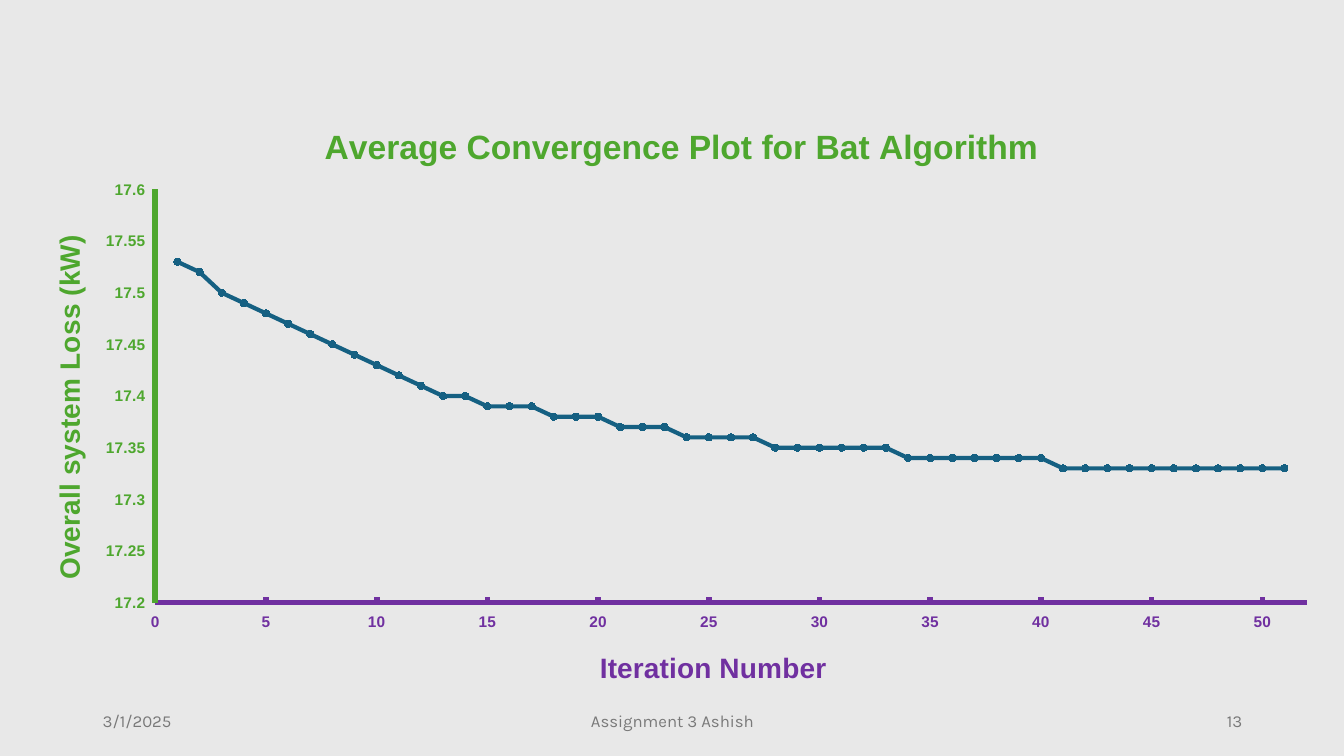
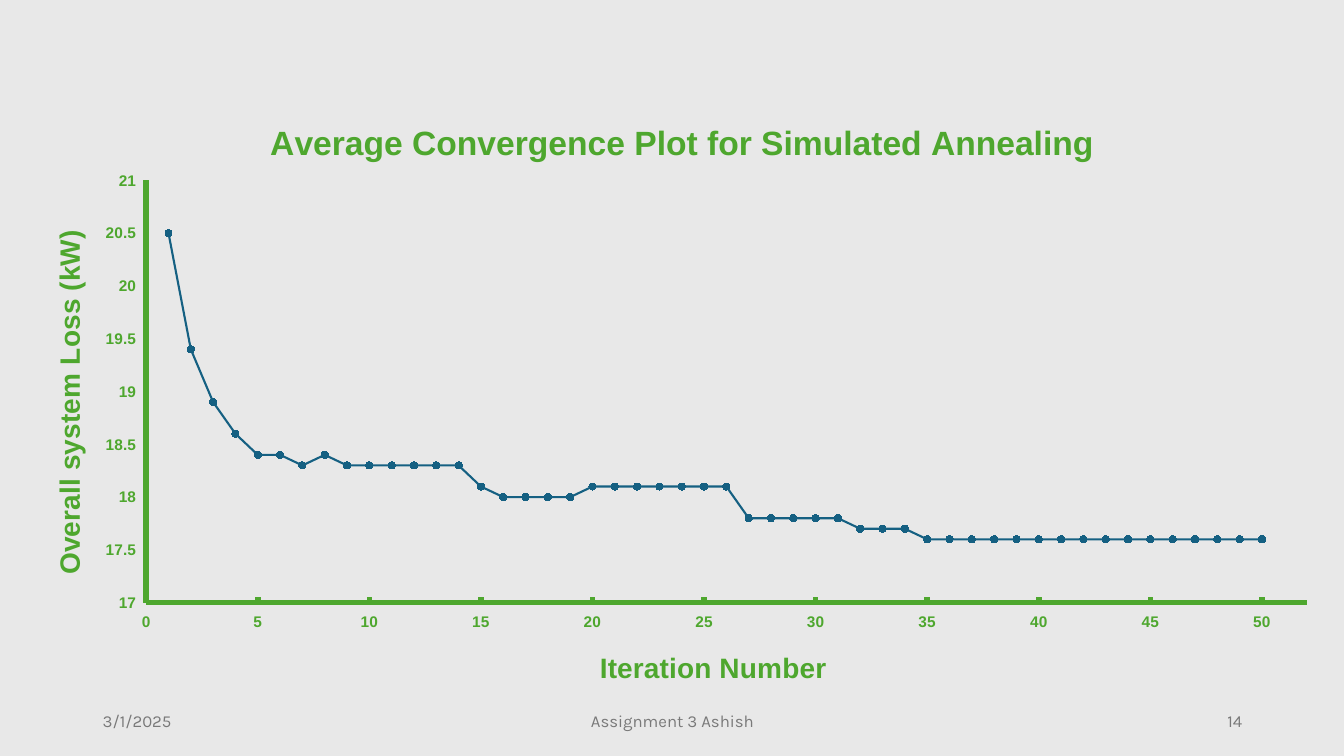
"""Build two slides with average convergence plots."""
from lxml.etree import SubElement
from pptx import Presentation
from pptx.chart.data import XyChartData
from pptx.dml.color import RGBColor
from pptx.enum.chart import XL_CHART_TYPE, XL_MARKER_STYLE, XL_TICK_LABEL_POSITION, XL_TICK_MARK
from pptx.enum.text import MSO_ANCHOR, PP_ALIGN
from pptx.oxml import parse_xml
from pptx.oxml.ns import nsdecls, qn
from pptx.util import Inches, Pt

BACKGROUND, GREEN, PURPLE, BLUE, GRAY = "E8E8E8", "4EA72E", "7030A0", "156082", "797979"
LEFT, TOP, WIDTH, HEIGHT = 0.19, 0.92, 13.03, 6.04
PLOT_RIGHT, PLOT_BOTTOM = 12.96, 5.98


def style(font, size, color, name="Arial", bold=True):
    """Set size, colour, typeface and weight of a font."""
    font.size, font.name, font.bold = Pt(size), name, bold
    font.color.rgb = RGBColor.from_string(color)


def place(element, left, top, right=None, bottom=None):
    """Give a chart part a fixed place, in slide inches."""
    for old in element.findall(qn("c:layout")):
        element.remove(old)
    layout = parse_xml(f"<c:layout {nsdecls('c')}><c:manualLayout/></c:layout>")
    settings = [("xMode", "edge"), ("yMode", "edge"),
                ("x", (left - LEFT) / WIDTH), ("y", (top - TOP) / HEIGHT)]
    if right:
        settings.insert(0, ("layoutTarget", "inner"))
        settings += [("w", (right - left) / WIDTH), ("h", (bottom - top) / HEIGHT)]
    for tag, value in settings:
        SubElement(layout[0], qn(f"c:{tag}")).set("val", str(value))
    element.insert(len(element.findall(qn("c:tx"))), layout)


plots = [
    dict(title="Average Convergence Plot for Bat Algorithm", number="13",
         x_color=PURPLE, line=3, low=17.2, high=17.6, step=0.05,
         plot_at=(1.54, 1.88), title_at=(3.16, 1.18), y_title_at=(0.46, 2.28),
         losses=[17.53, 17.52, 17.5, 17.49, 17.48, 17.47, 17.46, 17.45, 17.44, 17.43,
                 17.42, 17.41] + [17.4] * 2 + [17.39] * 3 + [17.38] * 3 + [17.37] * 3
         + [17.36] * 4 + [17.35] * 6 + [17.34] * 7 + [17.33] * 11),
    dict(title="Average Convergence Plot for Simulated Annealing", number="14",
         x_color=GREEN, line=1.5, low=17, high=21, step=0.5,
         plot_at=(1.45, 1.79), title_at=(2.62, 1.14), y_title_at=(0.46, 2.23),
         losses=[20.5, 19.4, 18.9, 18.6, 18.4, 18.4, 18.3, 18.4] + [18.3] * 6 + [18.1]
         + [18] * 4 + [18.1] * 7 + [17.8] * 5 + [17.7] * 3 + [17.6] * 16),
]

prs = Presentation()
prs.slide_width, prs.slide_height = Inches(13.33), Inches(7.5)

for plot in plots:
    s = prs.slides.add_slide(prs.slide_layouts[6])
    s.background.fill.solid()
    s.background.fill.fore_color.rgb = RGBColor.from_string(BACKGROUND)

    data = XyChartData()
    points = data.add_series("Series 1")
    for iteration, loss in enumerate(plot["losses"], 1):
        points.add_data_point(iteration, loss)
    chart = s.shapes.add_chart(XL_CHART_TYPE.XY_SCATTER_LINES, Inches(LEFT), Inches(TOP),
                               Inches(WIDTH), Inches(HEIGHT), data).chart
    style(chart.font, 11, "000000")
    chart.has_legend = False
    chart.has_title = True
    chart.plots[0].vary_by_categories = False
    x_axis, y_axis = chart.category_axis, chart.value_axis

    titles = [
        (chart.chart_title, plot["title"], 24, GREEN, plot["title_at"]),
        (x_axis.axis_title, "Iteration Number", 20, plot["x_color"], (5.9, 6.4)),
        (y_axis.axis_title, "Overall system Loss (kW)", 20, GREEN, plot["y_title_at"]),
    ]
    for title, text, size, color, at in titles:
        r = title.text_frame.paragraphs[0].add_run()
        r.text = text
        style(r.font, size, color)
        place(title._element, *at)
    y_axis.axis_title.text_frame._txBody.bodyPr.set("rot", "-5400000")
    place(chart._chartSpace.chart.plotArea, *plot["plot_at"], PLOT_RIGHT, PLOT_BOTTOM)

    axes = [
        (x_axis, plot["x_color"], 0, 52, 5, XL_TICK_MARK.INSIDE),
        (y_axis, GREEN, plot["low"], plot["high"], plot["step"], XL_TICK_MARK.NONE),
    ]
    for axis, color, low, high, step, tick in axes:
        axis.minimum_scale, axis.maximum_scale, axis.major_unit = low, high, step
        axis.has_major_gridlines = False
        axis.major_tick_mark, axis.minor_tick_mark = tick, XL_TICK_MARK.NONE
        axis.tick_label_position = XL_TICK_LABEL_POSITION.LOW
        axis.tick_labels.number_format = "General"
        axis.tick_labels.number_format_is_linked = False
        style(axis.tick_labels.font, 11, color)
        axis.format.line.width = Pt(4)
        axis.format.line.color.rgb = RGBColor.from_string(color)

    series = chart.plots[0].series[0]
    series.smooth = False
    series.format.line.width = Pt(plot["line"])
    series.format.line.color.rgb = RGBColor.from_string(BLUE)
    series.marker.style, series.marker.size = XL_MARKER_STYLE.CIRCLE, 5
    series.marker.format.fill.solid()
    series.marker.format.fill.fore_color.rgb = RGBColor.from_string(BLUE)
    series.marker.format.line.color.rgb = RGBColor.from_string(BLUE)

    footers = [
        ("3/1/2025", 0.92, 3, PP_ALIGN.LEFT),
        ("Assignment 3 Ashish", 4.42, 4.5, PP_ALIGN.CENTER),
        (plot["number"], 9.42, 3, PP_ALIGN.RIGHT),
    ]
    for text, left, width, align in footers:
        tf = s.shapes.add_textbox(Inches(left), Inches(6.95), Inches(width), Inches(0.4)).text_frame
        tf.word_wrap = True
        tf.vertical_anchor = MSO_ANCHOR.MIDDLE
        p = tf.paragraphs[0]
        p.alignment = align
        r = p.add_run()
        r.text = text
        style(r.font, 12, GRAY, "Karla", False)

prs.save("out.pptx")
